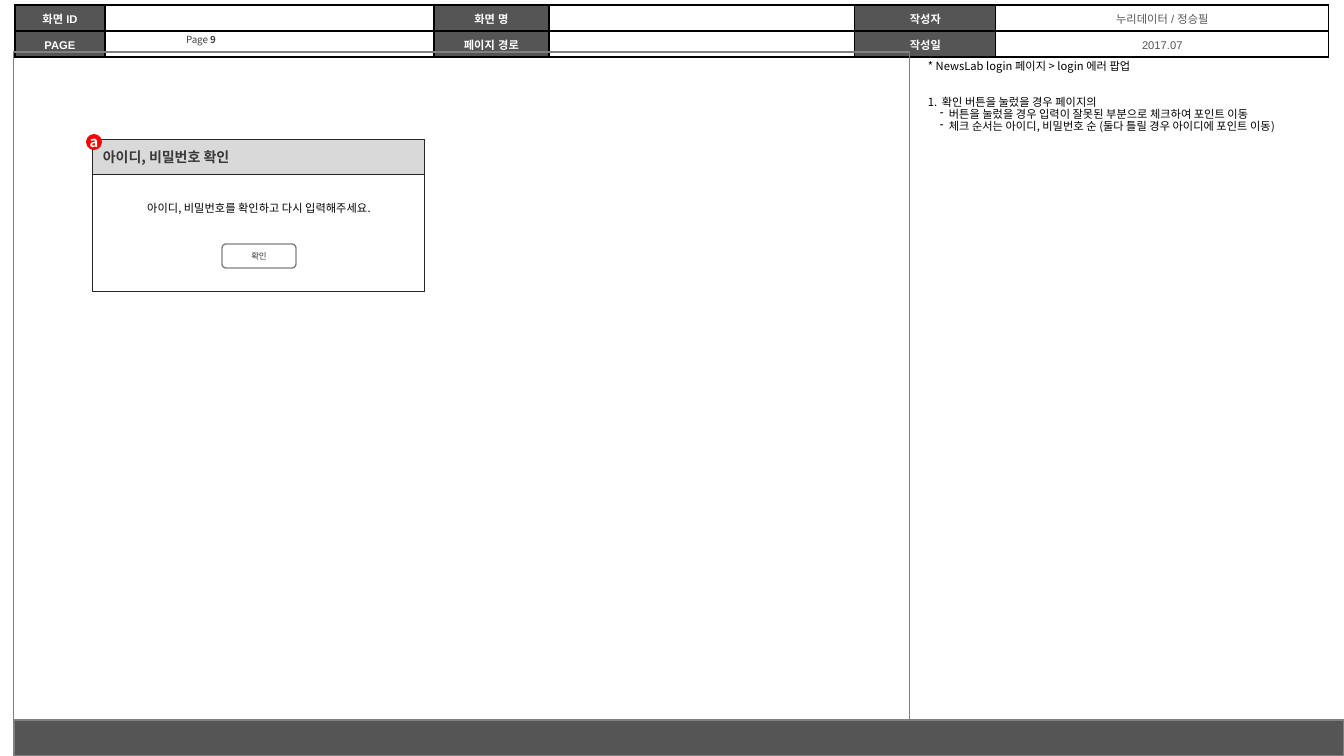
from lxml import etree
from pptx import Presentation
from pptx.dml.color import RGBColor
from pptx.enum.shapes import MSO_SHAPE
from pptx.enum.text import MSO_ANCHOR, PP_ALIGN
from pptx.oxml.ns import qn
from pptx.util import Pt

RECT, ROUND, OVAL = MSO_SHAPE.RECTANGLE, MSO_SHAPE.ROUNDED_RECTANGLE, MSO_SHAPE.OVAL
LEFT, CENTER = PP_ALIGN.LEFT, PP_ALIGN.CENTER
TOP, MIDDLE = MSO_ANCHOR.TOP, MSO_ANCHOR.MIDDLE

WIDTH, HEIGHT = 1344, 756
EMU_PER_PX = 12192000 / WIDTH
SANS, HEADER_FONT = "Noto Sans CJK KR", "Arial"
COLORS = {
    "black": "000000", "white": "FFFFFF", "slate": "555555", "frame": "808080",
    "outline": "262626", "title": "3B3838", "titlebar": "D9D9D9",
    "button": "373737", "page": "404040", "marker": "FF0000",
}


def px(length):
    return round(length * EMU_PER_PX)


def rgb(name):
    return RGBColor.from_string(COLORS[name])


class Storyboard:
    def __init__(self):
        self.deck = Presentation()
        self.deck.slide_width, self.deck.slide_height = px(WIDTH), px(HEIGHT)
        self.page = self.deck.slides.add_slide(self.deck.slide_layouts[6])

    def style(self, para, size, color, bold=False, align=LEFT, font=SANS):
        para.alignment = align
        for span in para.runs:
            span.font.size, span.font.bold, span.font.name = Pt(size), bold, font
            span.font.color.rgb = rgb(color)
            properties = span.font._element
            if properties.find(qn("a:ea")) is None:
                east_asian = etree.Element(qn("a:ea"), typeface=font)
                properties.find(qn("a:latin")).addnext(east_asian)

    def shape(self, kind, area, fill=None, line=None, weight=0.75):
        box = self.page.shapes.add_shape(kind, *map(px, area))
        box.shadow.inherit = False
        if fill:
            box.fill.solid()
            box.fill.fore_color.rgb = rgb(fill)
        else:
            box.fill.background()
        if line:
            box.line.color.rgb = rgb(line)
            box.line.width = Pt(weight)
        else:
            box.line.fill.background()
        return box

    def label(self, box, text, size, color, **options):
        frame = box.text_frame
        frame.vertical_anchor = MIDDLE
        frame.text = text
        self.style(frame.paragraphs[0], size, color, **options)

    def text(self, area, lines, size, color, anchor=TOP, **options):
        frame = self.page.shapes.add_textbox(*map(px, area)).text_frame
        frame.word_wrap, frame.vertical_anchor = True, anchor
        frame.text = "\n".join(lines)
        for para in frame.paragraphs:
            self.style(para, size, color, **options)
        return frame

    def bullet(self, para, tag, margin, hang, **attributes):
        properties = para._p.get_or_add_pPr()
        properties.set("marL", str(px(margin)))
        properties.set("indent", str(px(-hang)))
        etree.SubElement(properties, qn(tag), **attributes)

    def border(self, cell):
        properties = cell._tc.get_or_add_tcPr()
        for index, side in enumerate(("lnL", "lnR", "lnT", "lnB")):
            line = etree.Element(qn("a:" + side), w=str(Pt(1)))
            solid = etree.SubElement(line, qn("a:solidFill"))
            etree.SubElement(solid, qn("a:srgbClr"), val=COLORS["black"])
            properties.insert(index, line)

    def table(self, edges, top, row_height, rows):
        area = (edges[0], top, edges[-1] - edges[0], row_height * len(rows))
        grid = self.page.shapes.add_table(
            len(rows), len(edges) - 1, *map(px, area)).table
        grid.first_row = grid.horz_banding = False
        for column, left, right in zip(grid.columns, edges, edges[1:]):
            column.width = px(right - left)
        for row, texts in enumerate(rows):
            for column, text in enumerate(texts):
                cell = grid.cell(row, column)
                heading = column % 2 == 0
                cell.vertical_anchor = MIDDLE
                cell.margin_top, cell.margin_bottom = px(6), px(3)
                if heading:
                    cell.fill.solid()
                    cell.fill.fore_color.rgb = rgb("slate")
                else:
                    cell.fill.background()
                self.border(cell)
                para = cell.text_frame.paragraphs[0]
                para.text = text
                para.font.size = Pt(8)
                self.style(para, 8, "white" if heading else "slate", bold=heading,
                           align=CENTER, font=HEADER_FONT)


def main():
    board = Storyboard()

    # Header table
    board.table([15, 105, 434, 549, 855, 996, 1329], 5, 26, [
        ["화면 ID", "", "화면 명", "", "작성자", "누리데이터 / 정승필"],
        ["PAGE", "", "페이지 경로", "", "작성일", "2017.07"],
    ])

    # Page frame, footer bar and page number
    board.shape(RECT, (14, 52, 896, 668), line="frame")
    board.shape(RECT, (14, 720, 1330, 36), "slate", "frame", 1)
    number = board.text((129, 27, 144, 25), ["Page "], 7, "page",
                        anchor=MIDDLE, align=CENTER).paragraphs[0]
    number.add_run().text = "9"
    board.style(number, 7, "page", align=CENTER)
    number.runs[1].font.bold = True

    # Description column
    notes = board.text((918, 56, 411, 652), [
        "* NewsLab login 페이지 > login 에러 팝업",
        "확인 버튼을 눌렀을 경우 페이지의",
        "버튼을 눌렀을 경우 입력이 잘못된 부분으로 체크하여 포인트 이동",
        "체크 순서는 아이디, 비밀번호 순 (둘다 틀릴 경우 아이디에 포인트 이동)",
    ], 8, "black").paragraphs
    for para in notes:
        para.line_spacing = 0.9
    notes[1].space_before = Pt(17)
    board.bullet(notes[1], "a:buAutoNum", 14, 14, type="arabicPeriod")
    for para in notes[2:]:
        board.bullet(para, "a:buChar", 21, 9, char="-")

    # Error popup
    board.text((93, 196, 332, 24), ["아이디, 비밀번호를 확인하고 다시 입력해주세요."],
               8, "black", align=CENTER)
    title = board.shape(RECT, (93, 139, 332, 36), "titlebar", "outline")
    board.label(title, "아이디, 비밀번호 확인", 10, "title", bold=True)
    board.shape(RECT, (93, 175, 332, 117), line="outline")
    button = board.shape(ROUND, (222, 244, 74, 24), "white", "frame", 1)
    board.label(button, "확인", 6, "button", align=CENTER)

    # Marker
    marker = board.shape(OVAL, (86, 134, 16, 16), "marker")
    board.label(marker, "a", 10.5, "white", bold=True, align=CENTER)
    frame = marker.text_frame
    frame.word_wrap = False
    frame.margin_left = frame.margin_right = frame.margin_top = frame.margin_bottom = 0

    board.deck.save("out.pptx")


if __name__ == "__main__":
    main()
